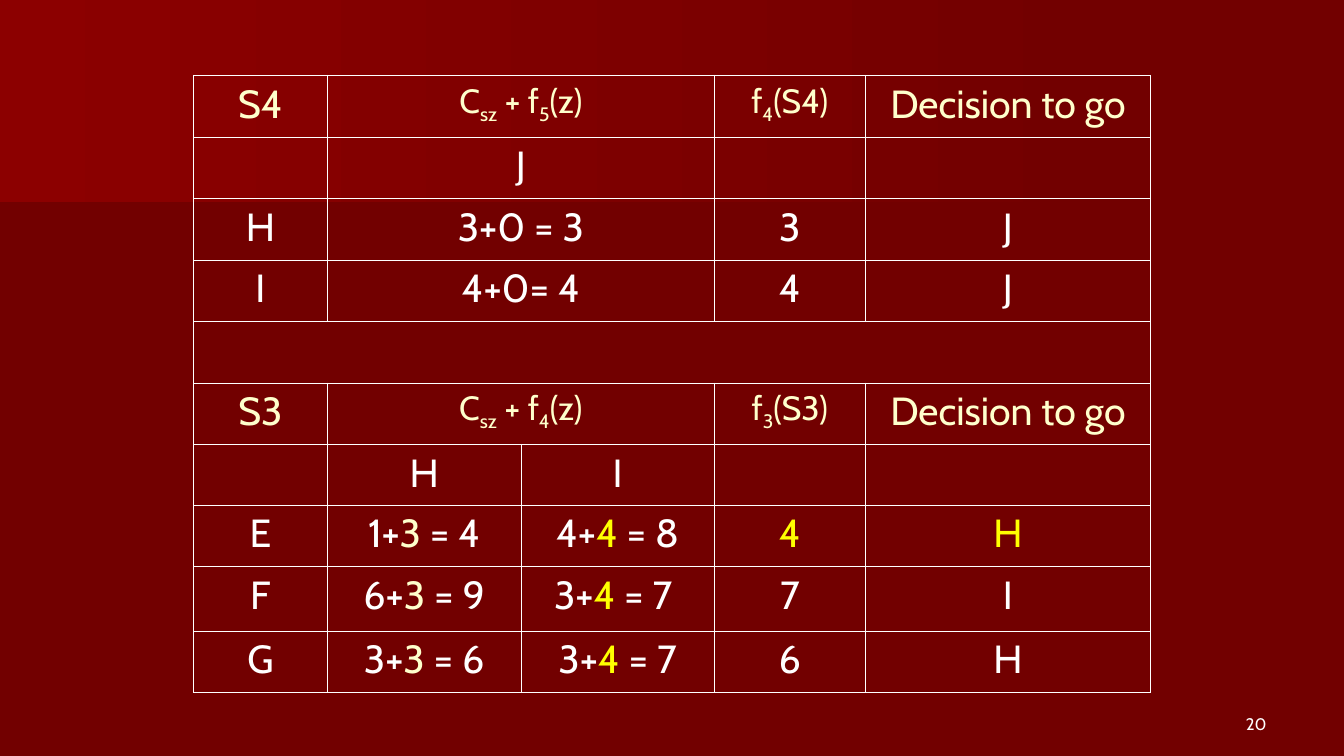
import pptx
import pptx.util
import pptx.dml.color
import pptx.enum.text
import pptx.oxml
import pptx.oxml.ns
from pptx.util import Inches

FONT = "Cabin"
HUES = {
    "ground": "720000",
    "glow": "8C0000",
    "shade": "6B0000",
    "white": "FFFFFF",
    "cream": "FFFFCC",
    "yellow": "FFFF00",
}
ALIGN = pptx.enum.text.PP_ALIGN
WIDTHS = [1.33, 1.92, 1.92, 1.5, 2.83]
HEIGHTS = [0.61] * 6 + [0.6, 0.61, 0.64, 0.61]
GAP = 4
HEADS = (0, 5)
BEST = 7
ROWS = [
    ["S4", "C|sz| + f|5|(z)", None, "f|4|(S4)", "Decision to go"],
    ["", "J", None, "", ""],
    ["H", "3+0 = 3", None, "3", "J"],
    ["I", "4+0= 4", None, "4", "J"],
    ["", None, None, None, None],
    ["S3", "C|sz| + f|4|(z)", None, "f|3|(S3)", "Decision to go"],
    ["", "H", "I", "", ""],
    ["E", "1+|3| = 4", "4+|4| = 8", "4", "H"],
    ["F", "6+|3| = 9", "3+|4| = 7 ", "7", "I"],
    ["G", "3+|3| = 6", "3+|4| = 7", "6", "H"],
]


def color(name):
    return pptx.dml.color.RGBColor.from_string(HUES[name])


def write(frame, text, size=28, hue="white", mark=None, sub=False, align=ALIGN.CENTER):
    line = frame.paragraphs[0]
    line.alignment = align
    for index, part in enumerate(text.split("|")):
        run = line.add_run()
        run.text = part
        run.font.name = FONT
        run.font.size = pptx.util.Pt(size)
        marked = index % 2 == 1
        run.font.color.rgb = color(mark if marked and mark else hue)
        if marked and sub:
            run.font._element.set("baseline", "-25000")


def facet(slide, points, start):
    pen = slide.shapes.build_freeform(*points[0], scale=Inches(1))
    pen.add_line_segments(points[1:], close=True)
    shape = pen.convert_to_shape()
    shape.shadow.inherit = False
    shape.line.fill.background()
    shape.fill.gradient()
    shape.fill.gradient_angle = 0
    for stop, hue in zip(shape.fill.gradient_stops, (start, "ground")):
        stop.color.rgb = color(hue)


def edge(cell, side, width):
    cell._tc.get_or_add_tcPr().append(pptx.oxml.parse_xml(
        f'<a:ln{side} {pptx.oxml.ns.nsdecls("a")} w="{int(pptx.util.Pt(width))}">'
        f'<a:solidFill><a:srgbClr val="{HUES["white"]}"/></a:solidFill></a:ln{side}>'
    ))


def frame(cell, row, col):
    outer = {
        "L": col == 0 and row != GAP,
        "R": col + cell.span_width == len(WIDTHS),
        "T": row == 0,
        "B": row == len(ROWS) - 1,
    }
    for side, thick in outer.items():
        edge(cell, side, 1.08 if thick else 0.45)
    cell.fill.background()


def style(row, col, text):
    if row in HEADS:
        return dict(hue="cream", size=24 if "|" in text else 28, sub=True)
    return dict(
        hue="yellow" if row == BEST and col > 2 else "white",
        mark="cream" if col == 1 else "yellow",
    )


def grid(slide):
    table = slide.shapes.add_table(
        len(ROWS), len(WIDTHS), Inches(1.92), Inches(0.75),
        Inches(sum(WIDTHS)), Inches(sum(HEIGHTS)),
    ).table
    table.first_row = False
    table.horz_banding = False
    for col, width in enumerate(WIDTHS):
        table.columns[col].width = Inches(width)
    for row, texts in enumerate(ROWS):
        table.rows[row].height = Inches(HEIGHTS[row])
        if None in texts:
            first = texts.index(None) - 1
            last = first + texts.count(None)
            table.cell(row, first).merge(table.cell(row, last))
        for col, text in enumerate(texts):
            if text is None:
                continue
            cell = table.cell(row, col)
            frame(cell, row, col)
            if text:
                write(cell.text_frame, text, **style(row, col, text))


def number(slide):
    box = slide.shapes.add_textbox(Inches(9.56), Inches(6.83), Inches(3.11), Inches(0.5))
    box.text_frame.word_wrap = True
    box.text_frame.vertical_anchor = pptx.enum.text.MSO_ANCHOR.BOTTOM
    write(box.text_frame, "20", size=12, align=ALIGN.RIGHT)


def main():
    deck = pptx.Presentation()
    deck.slide_width = Inches(13.34)
    deck.slide_height = Inches(7.5)
    slide = deck.slides.add_slide(deck.slide_layouts[6])
    slide.background.fill.solid()
    slide.background.fill.fore_color.rgb = color("ground")
    facet(slide, [(10.37, 1.53), (0, 2.17), (0, 1.01), (10.39, 1.01), (10.37, 1.28)], "shade")
    facet(slide, [(10.56, 1.62), (0, 2.08), (0, 0), (10.56, 0)], "glow")
    number(slide)
    grid(slide)
    deck.save("out.pptx")


if __name__ == "__main__":
    main()
